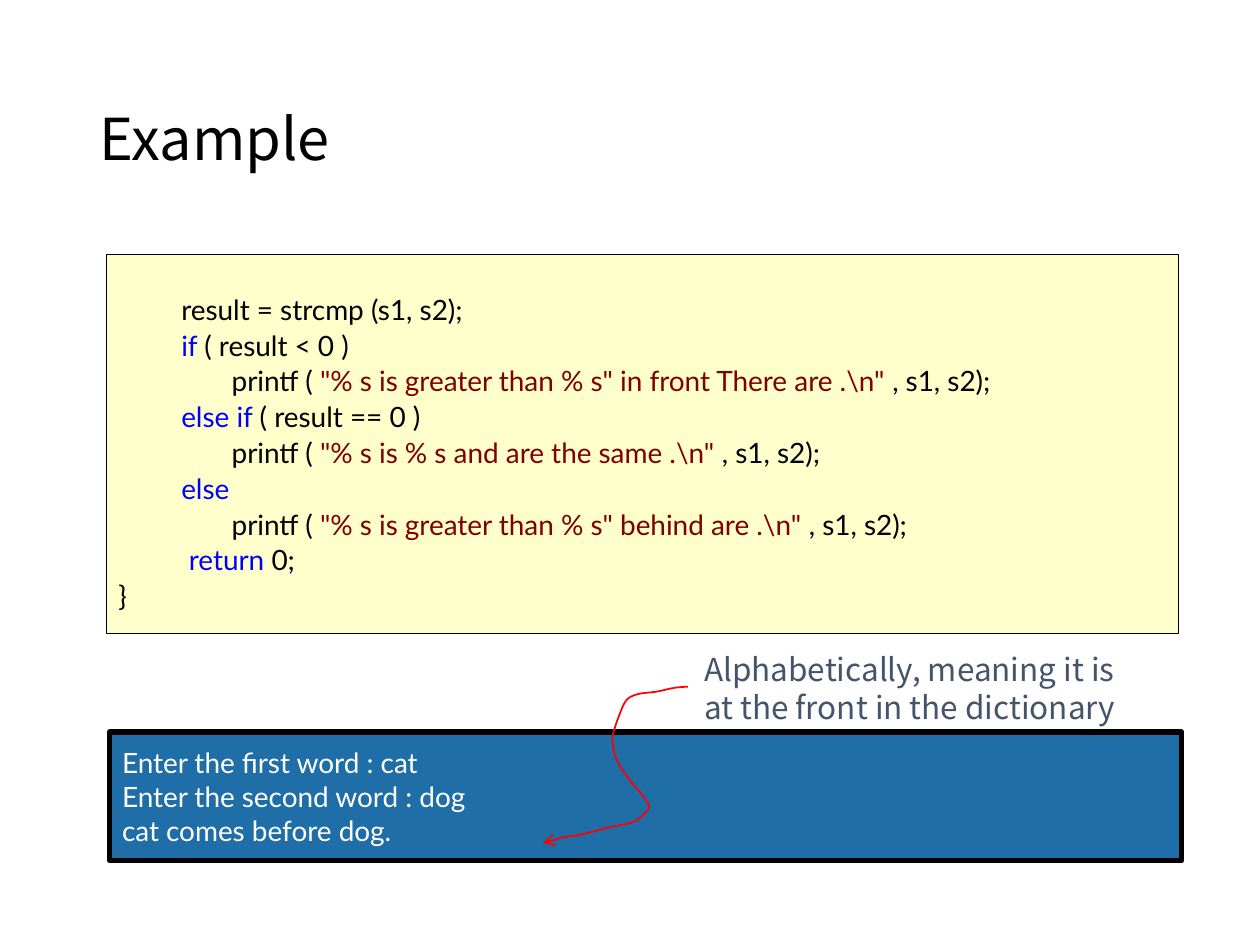
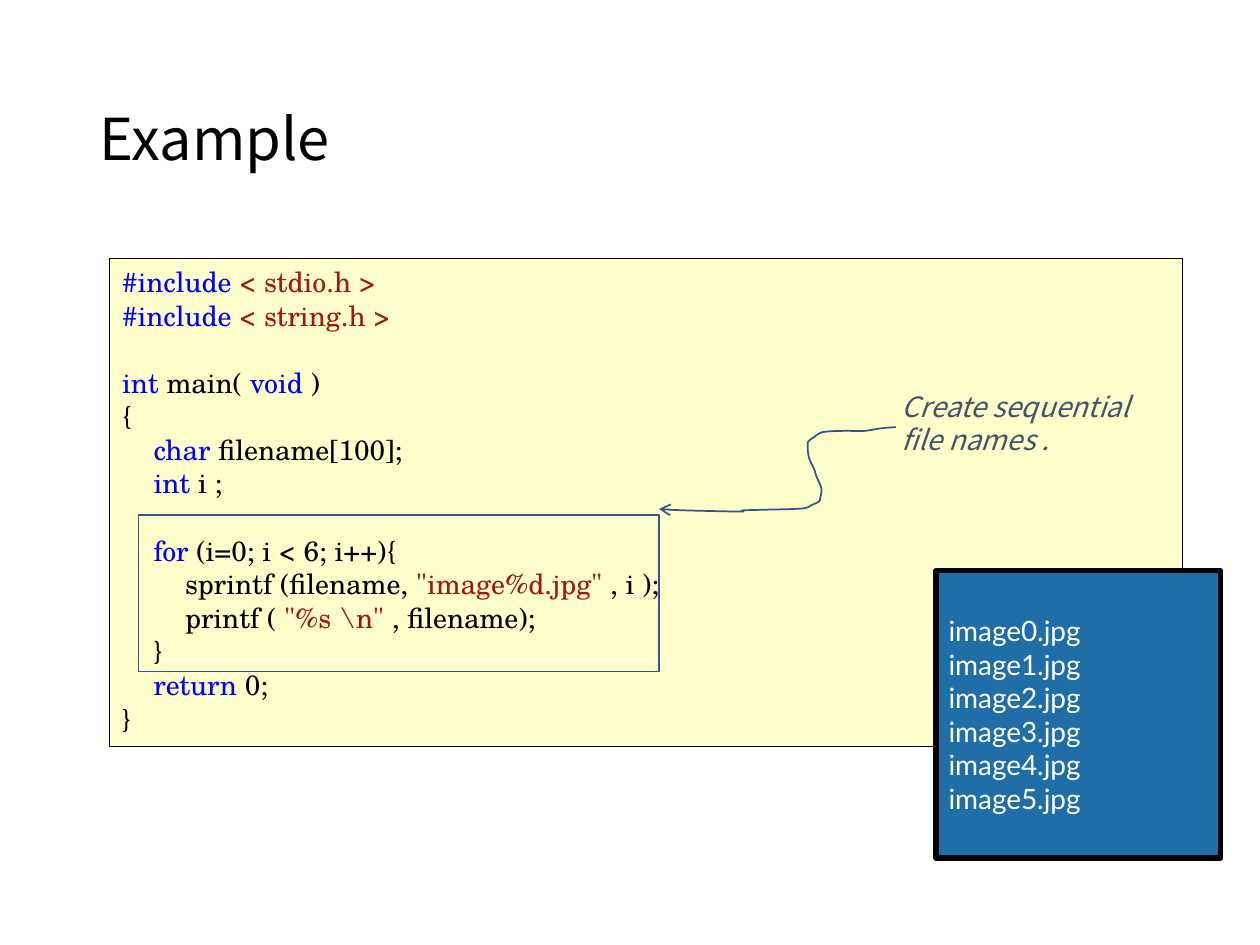
from dataclasses import dataclass

from lxml import etree
from pptx import Presentation
from pptx import util as u
from pptx.dml.color import RGBColor
from pptx.enum import shapes, text
from pptx.oxml import ns


@dataclass(frozen=True)
class Theme:
    ink: str = "000000"
    keyword: str = "0000FF"
    literal: str = "800000"
    header: str = "A31515"
    paper: str = "FFFFCC"
    console: str = "1F6EA7"
    light: str = "FFFFFF"
    note: str = "44546A"
    accent: str = "325491"
    red: str = "FF0000"
    sans: str = "Noto Sans CJK KR"
    body: str = "Lato"
    serif: str = "TeX Gyre Schola"
    title_size: float = 33
    note_size: float = 18
    code_size: float = 16


THEME = Theme()
INK, KEY, LIT, HEAD = THEME.ink, THEME.keyword, THEME.literal, THEME.header
TITLE = "Example"
TITLE_AT = (0.69, 0.4, 8.62, 1.45)

# Content: code lines are (indent in inches, gap before in points, runs)
STEP, GAP = 3.2, 19.2
COMPARE_CODE = [
    (0.5, STEP, [("result = strcmp (s1, s2);", INK)]),
    (0.5, STEP, [("if ", KEY), ("( result < 0 )", INK)]),
    (0.9, STEP, [("printf ( ", INK),
                 ('"% s is greater than % s" in front There are .\\n" ', LIT),
                 (", s1, s2);", INK)]),
    (0.5, STEP, [("else if ", KEY), ("( result == 0 )", INK)]),
    (0.9, STEP, [("printf ( ", INK),
                 ('"% s is % s and are the same .\\n" ', LIT),
                 (", s1, s2);", INK)]),
    (0.5, STEP, [("else", KEY)]),
    (0.9, STEP, [("printf ( ", INK),
                 ('"% s is greater than % s" behind are .\\n" ', LIT),
                 (", s1, s2);", INK)]),
    (0.56, STEP, [("return ", KEY), ("0;", INK)]),
    (0, STEP, [("}", INK)]),
]
FILENAME_CODE = [
    (0, 0, [("#include ", KEY), ("< stdio.h >", HEAD)]),
    (0, 0, [("#include ", KEY), ("< string.h >", HEAD)]),
    (0, GAP, [("int ", KEY), ("main( ", INK), ("void ", KEY), (")", INK)]),
    (0, 0, [("{", INK)]),
    (0.25, 0, [("char ", KEY), ("filename[100];", INK)]),
    (0.25, 0, [("int ", KEY), ("i ;", INK)]),
    (0.25, GAP, [("for ", KEY), ("(i=0; i < 6; i++){", INK)]),
    (0.5, 0, [("sprintf (filename, ", INK), ('"image%d.jpg" ', HEAD), (", i );", INK)]),
    (0.5, 0, [("printf ( ", INK), ('"%s \\n" ', HEAD), (", filename);", INK)]),
    (0.25, 0, [("}", INK)]),
    (0.25, 0, [("return ", KEY), ("0;", INK)]),
    (0, 0, [("}", INK)]),
]
COMPARE_OUTPUT = ["Enter the first word : cat", "Enter the second word : dog",
                  "cat comes before dog."]
FILENAME_OUTPUT = [f"image{number}.jpg" for number in range(6)]
COMPARE_NOTE = "Alphabetically, meaning it is at the front in the dictionary"
FILENAME_NOTE = "Create sequential file names ."

# Knots of the hand-drawn arrows, in inches
COMPARE_ARROW = [(5.46, 5.45), (5.35, 5.46), (5.21, 5.49), (5.06, 5.51), (4.97, 5.56),
                 (4.91, 5.69), (4.87, 5.81), (4.86, 5.87), (4.88, 5.99), (4.92, 6.08),
                 (4.99, 6.18), (5.03, 6.23), (5.09, 6.3), (5.14, 6.37), (5.15, 6.4),
                 (5.14, 6.43), (5.08, 6.49), (5.01, 6.53), (4.82, 6.57), (4.67, 6.61),
                 (4.58, 6.63), (4.45, 6.65), (4.37, 6.68), (4.31, 6.69)]
FILENAME_ARROW = [(7.11, 3.39), (6.99, 3.4), (6.86, 3.42), (6.69, 3.42), (6.53, 3.43),
                  (6.46, 3.47), (6.42, 3.5), (6.41, 3.53), (6.42, 3.63), (6.46, 3.72),
                  (6.48, 3.78), (6.52, 3.88), (6.51, 3.95), (6.5, 3.98), (6.44, 4.01),
                  (6.4, 4.03), (6.3, 4.04), (5.91, 4.05), (5.87, 4.06), (5.41, 4.05),
                  (5.23, 4.04)]


def colour(value):
    return RGBColor.from_string(value)


def add_span(para, words, font, size, ink, italic=False):
    span = para.add_run()
    span.text = words
    span.font.name, span.font.size = font, u.Pt(size)
    span.font.italic = italic
    span.font.color.rgb = colour(ink)


def paragraphs(frame, count):
    return [frame.paragraphs[0]] + [frame.add_paragraph() for _ in range(count - 1)]


def add_box(page, at, fill, line, width):
    box = page.shapes.add_shape(shapes.MSO_SHAPE.RECTANGLE, *map(u.Inches, at))
    box.shadow.inherit = False
    if fill:
        box.fill.solid()
        box.fill.fore_color.rgb = colour(fill)
    else:
        box.fill.background()
    box.line.color.rgb = colour(line)
    box.line.width = u.Pt(width)
    box.text_frame.word_wrap = True
    return box


def add_page(deck):
    page = deck.slides.add_slide(deck.slide_layouts[5])
    title = page.shapes.title
    title.left, title.top, title.width, title.height = map(u.Inches, TITLE_AT)
    title.text_frame.vertical_anchor = text.MSO_ANCHOR.MIDDLE
    para = title.text_frame.paragraphs[0]
    para.alignment = text.PP_ALIGN.LEFT
    para.line_spacing = 0.9
    add_span(para, TITLE, THEME.sans, THEME.title_size, INK)
    return page


def add_code(page, at, lines, font, spacing=1.0, top=0.05):
    frame = add_box(page, at, THEME.paper, INK, 0.25).text_frame
    frame.vertical_anchor = text.MSO_ANCHOR.TOP
    frame.margin_top = u.Inches(top)
    for para, (indent, gap, spans) in zip(paragraphs(frame, len(lines)), lines):
        para.alignment = text.PP_ALIGN.LEFT
        para.line_spacing = spacing
        para.space_before = u.Pt(gap)
        properties = para._p.get_or_add_pPr()
        properties.set("marL", str(u.Inches(indent)))
        properties.set("indent", "0")
        for words, ink in spans:
            add_span(para, words, font, THEME.code_size, ink)


def add_console(page, at, lines):
    frame = add_box(page, at, THEME.console, INK, 3).text_frame
    frame.vertical_anchor = text.MSO_ANCHOR.MIDDLE
    for para, line in zip(paragraphs(frame, len(lines)), lines):
        para.alignment = text.PP_ALIGN.LEFT
        add_span(para, line, THEME.body, THEME.code_size, THEME.light)


def add_note(page, at, words, size, italic=False):
    frame = page.shapes.add_textbox(*map(u.Inches, at)).text_frame
    frame.word_wrap = True
    add_span(frame.paragraphs[0], words, THEME.sans, size, THEME.note, italic)


def smooth_points(knots, steps=4):
    """Catmull-Rom curve through the knots."""
    padded = [knots[0], *knots, knots[-1]]
    points = [knots[0]]
    for a, b, c, d in zip(padded, padded[1:], padded[2:], padded[3:]):
        for step in range(1, steps + 1):
            t = step / steps
            points.append(tuple(
                (2 * q + (r - p) * t + (2 * p - 5 * q + 4 * r - s) * t ** 2
                 + (3 * q - p - 3 * r + s) * t ** 3) / 2
                for p, q, r, s in zip(a, b, c, d)))
    return points


def add_curved_arrow(page, knots, ink):
    points = [(u.Inches(x), u.Inches(y)) for x, y in smooth_points(knots)]
    builder = page.shapes.build_freeform(*points[0])
    builder.add_line_segments(points[1:], close=False)
    arrow = builder.convert_to_shape()
    arrow.shadow.inherit = False
    arrow.fill.background()
    arrow.line.color.rgb = colour(ink)
    arrow.line.width = u.Pt(1)
    etree.SubElement(arrow.line._get_or_add_ln(), ns.qn("a:tailEnd"), type="arrow")


def main():
    deck = Presentation()
    deck.slide_width, deck.slide_height = u.Inches(10), u.Inches(7.5)

    # Comparing two words
    page = add_page(deck)
    add_console(page, (0.87, 5.81, 8.51, 1.02), COMPARE_OUTPUT)
    add_code(page, (0.84, 2.02, 8.51, 3.01), COMPARE_CODE, THEME.body, 0.9, 0.33)
    add_note(page, (5.49, 5.11, 3.64, 0.71), COMPARE_NOTE, THEME.note_size)
    add_curved_arrow(page, COMPARE_ARROW, THEME.red)

    # Building file names
    page = add_page(deck)
    add_code(page, (0.87, 2.05, 8.51, 3.87), FILENAME_CODE, THEME.serif)
    add_note(page, (7.06, 3.04, 2.07, 0.64), FILENAME_NOTE, THEME.code_size, italic=True)
    add_curved_arrow(page, FILENAME_ARROW, THEME.accent)
    add_box(page, (1.1, 4.09, 4.13, 1.24), None, THEME.accent, 1)
    add_console(page, (7.43, 4.53, 2.26, 2.28), FILENAME_OUTPUT)

    deck.save("out.pptx")


if __name__ == "__main__":
    main()
